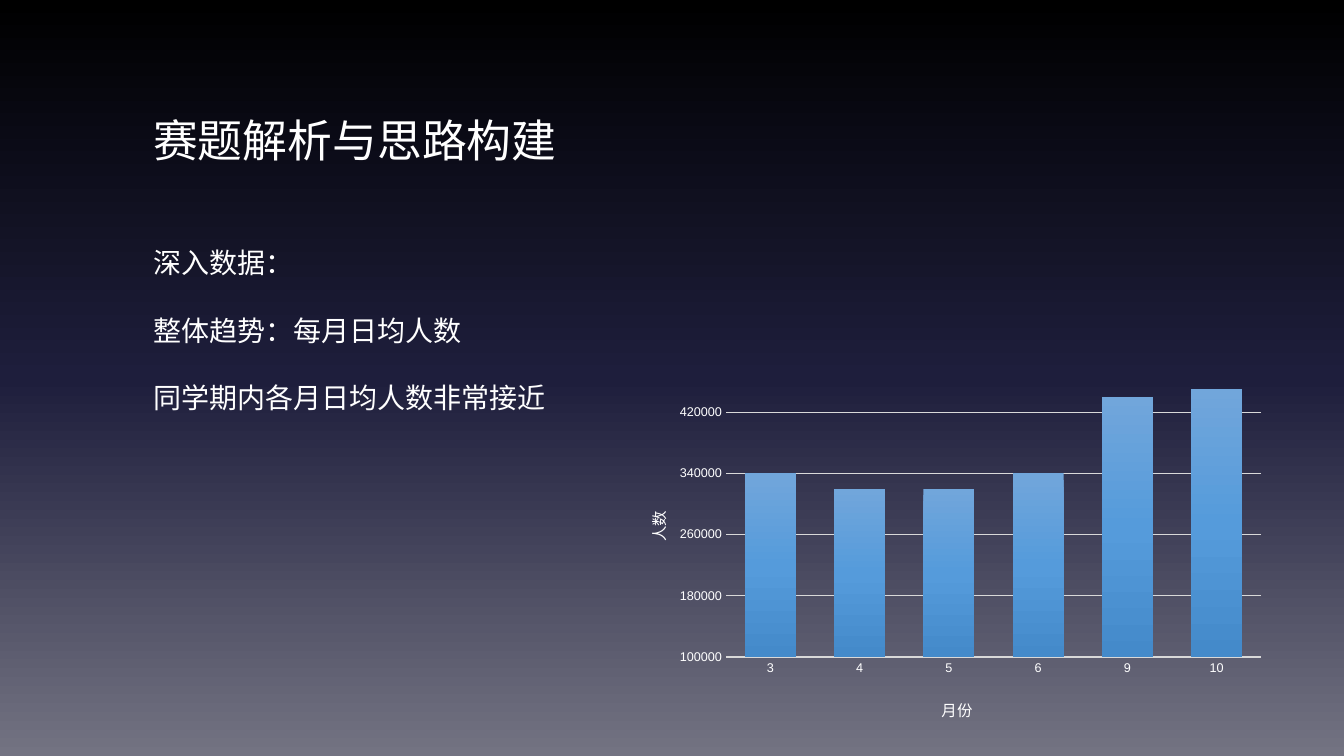
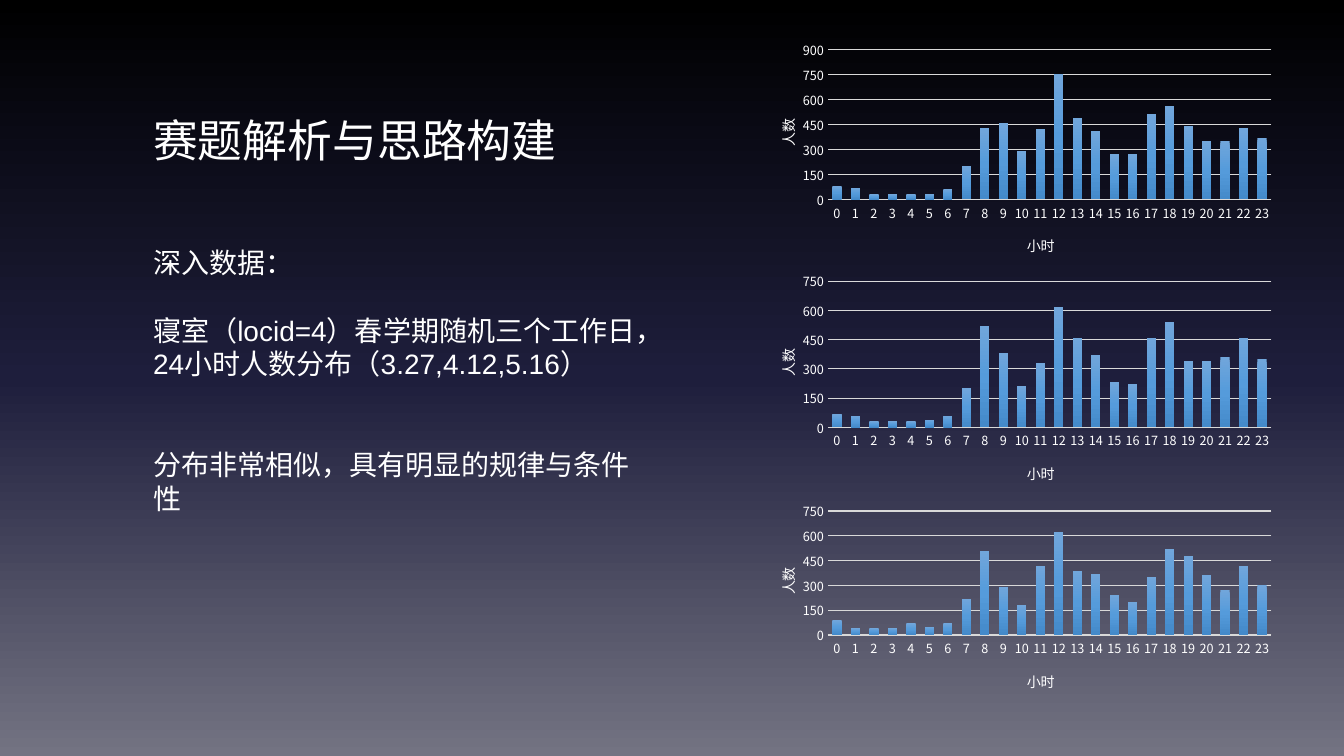
"""Build two slides on monthly and hourly visitor counts."""
from lxml.etree import SubElement
from pptx import Presentation
from pptx.chart.data import CategoryChartData
from pptx.dml.color import RGBColor
from pptx.enum.chart import XL_CHART_TYPE as ChartType, XL_TICK_MARK as TickMark
from pptx.enum.text import MSO_AUTO_SIZE as AutoSize
from pptx.oxml.ns import qn
from pptx.util import Inches, Pt

COLORS = {"text": "FFFFFF", "rule": "D9D9D9"}
SKY = [(0, "000000"), (50, "1E1E3C"), (100, "737382")]
COLUMN = [(0, "71A6DB"), (50, "559BDB"), (100, "448ACA")]
LATIN, CJK = "Arial", "Noto Sans CJK SC"
HEADING = "赛题解析与思路构建"
COUNT_LABEL = "人数"
LINE = 24

MONTHLY_STYLE = {
    "categories": ["3", "4", "5", "6", "9", "10"], "label": "月份",
    "font": LATIN, "title_size": 11, "gap": 75, "overlap": -25,
    "margins": (1.07, 0.07, 0.14, 0.73), "label_left": 3.18,
}
HOURLY_STYLE = {
    "categories": [str(hour) for hour in range(24)], "label": "小时",
    "font": CJK, "title_size": 10, "gap": 100, "overlap": -24,
    "margins": (0.78, 0.14, 0.1, 0.68), "label_left": 2.73,
}

SLIDES = [
    {
        "body": [("深入数据：", 0), ("整体趋势：每月日均人数", 1),
                 ("同学期内各月日均人数非常接近", 1)],
        "body_height": 1.78,
        "style": MONTHLY_STYLE,
        "charts": [
            {"box": (6.13, 3.64, 6.52, 3.61), "scale": (100000, 470000, 80000),
             "counts": [340000, 320000, 320000, 340000, 440000, 450000]},
        ],
    },
    {
        "body": [("深入数据：", 0),
                 ("寝室（locid=4）春学期随机三个工作日，24小时人数分布（3.27,4.12,5.16）", 1),
                 ("分布非常相似，具有明显的规律与条件性", 2)],
        "body_height": 2.79,
        "style": HOURLY_STYLE,
        "charts": [
            {"box": (7.43, 0.35, 5.28, 2.31), "scale": (0, 900, 150),
             "counts": [80, 70, 30, 30, 30, 30, 60, 200, 430, 460, 290, 420,
                        750, 490, 410, 270, 270, 510, 560, 440, 350, 350, 430, 370]},
            {"box": (7.43, 2.65, 5.28, 2.27), "scale": (0, 750, 150),
             "counts": [70, 60, 30, 30, 30, 40, 60, 200, 520, 380, 210, 330,
                        620, 460, 370, 230, 220, 460, 540, 340, 340, 360, 460, 350]},
            {"box": (7.43, 4.93, 5.28, 2.05), "scale": (0, 750, 150),
             "counts": [90, 40, 40, 40, 70, 50, 70, 220, 510, 290, 180, 420,
                        620, 390, 370, 240, 200, 350, 520, 480, 360, 270, 420, 300]},
        ],
    },
]


def color(name):
    return RGBColor.from_string(COLORS[name])


def set_font(font, name, size):
    font.name, font.size, font.bold = name, Pt(size), False
    font.color.rgb = color("text")


def set_gradient(fill, owner, stops):
    fill.gradient()
    fill.gradient_angle = 270
    stop_list = owner.find(".//" + qn("a:gsLst"))
    for old in list(stop_list):
        stop_list.remove(old)
    for percent, value in stops:
        stop = SubElement(stop_list, qn("a:gs"), pos=str(percent * 1000))
        SubElement(stop, qn("a:srgbClr"), val=value)


def set_layout(owner, index, **values):
    layout = owner.find(qn("c:layout"))
    if layout is None:
        layout = SubElement(owner, qn("c:layout"))
        owner.insert(index, layout)
    manual = SubElement(layout, qn("c:manualLayout"))
    modes = {"xMode": "edge", "yMode": "edge"}
    if "w" in values:
        modes = {"layoutTarget": "inner", **modes}
    for tag, value in {**modes, **values}.items():
        text = value if isinstance(value, str) else f"{value:.4f}"
        SubElement(manual, qn("c:" + tag), val=text)


def add_text(slide, box, paragraphs, size, wrap):
    frame = slide.shapes.add_textbox(*map(Inches, box)).text_frame
    frame.word_wrap = wrap
    frame.auto_size = AutoSize.SHAPE_TO_FIT_TEXT
    for index, (text, lines_before) in enumerate(paragraphs):
        paragraph = frame.add_paragraph() if index else frame.paragraphs[0]
        paragraph.text = text
        if lines_before:
            paragraph.space_before = Pt(LINE * lines_before)
        set_font(paragraph.font, LATIN, size)


def style_axis(axis, title, style, x, y):
    axis.major_tick_mark = axis.minor_tick_mark = TickMark.NONE
    set_font(axis.tick_labels.font, style["font"], 9)
    frame = axis.axis_title.text_frame
    frame.text = title
    set_font(frame.paragraphs[0].font, style["font"], style["title_size"])
    title_xml = axis.axis_title._element
    set_layout(title_xml, 1, x=x, y=y)
    return title_xml.find(".//" + qn("a:bodyPr"))


def add_counts(slide, spec, style):
    data = CategoryChartData()
    data.categories = style["categories"]
    data.add_series("Series 1", spec["counts"])
    chart = slide.shapes.add_chart(
        ChartType.COLUMN_CLUSTERED, *map(Inches, spec["box"]), data).chart
    chart.has_title = chart.has_legend = False
    set_font(chart.font, CJK, 10)

    width, height = spec["box"][2:]
    left, top, right, bottom = style["margins"]
    plot_height = height - top - bottom
    set_layout(chart._chartSpace.find(".//" + qn("c:plotArea")), 0,
               x=left / width, y=top / height,
               w=(width - left - right) / width, h=plot_height / height)

    periods, counts = chart.category_axis, chart.value_axis
    style_axis(periods, style["label"], style,
               style["label_left"] / width, (height - 0.36) / height)
    periods.format.line.color.rgb = color("rule")
    periods.format.line.width = Pt(1)
    rotation = style_axis(counts, COUNT_LABEL, style, 0.25 / width,
                          (top + plot_height / 2 - 0.08) / height)
    rotation.set("rot", "-5400000")
    rotation.set("vert", "horz")
    counts.format.line.fill.background()
    counts.minimum_scale, counts.maximum_scale, counts.major_unit = spec["scale"]
    counts.has_major_gridlines = True
    grid = counts.major_gridlines.format.line
    grid.color.rgb = color("rule")
    grid.width = Pt(0.75)

    plot = chart.plots[0]
    plot.vary_by_categories = False
    plot.gap_width, plot.overlap = style["gap"], style["overlap"]
    columns = plot.series[0]
    set_gradient(columns.format.fill, columns._element, COLUMN)


def main():
    deck = Presentation()
    deck.slide_width, deck.slide_height = Inches(13.33), Inches(7.5)
    for content in SLIDES:
        slide = deck.slides.add_slide(deck.slide_layouts[6])
        set_gradient(slide.background.fill, slide._element, SKY)
        add_text(slide, (1.42, 1.07, 4.24, 0.64), [(HEADING, 0)], 32, False)
        add_text(slide, (1.42, 2.39, 5.06, content["body_height"]),
                 content["body"], 20, True)
        for spec in content["charts"]:
            add_counts(slide, spec, content["style"])
    deck.save("out.pptx")


if __name__ == "__main__":
    main()
